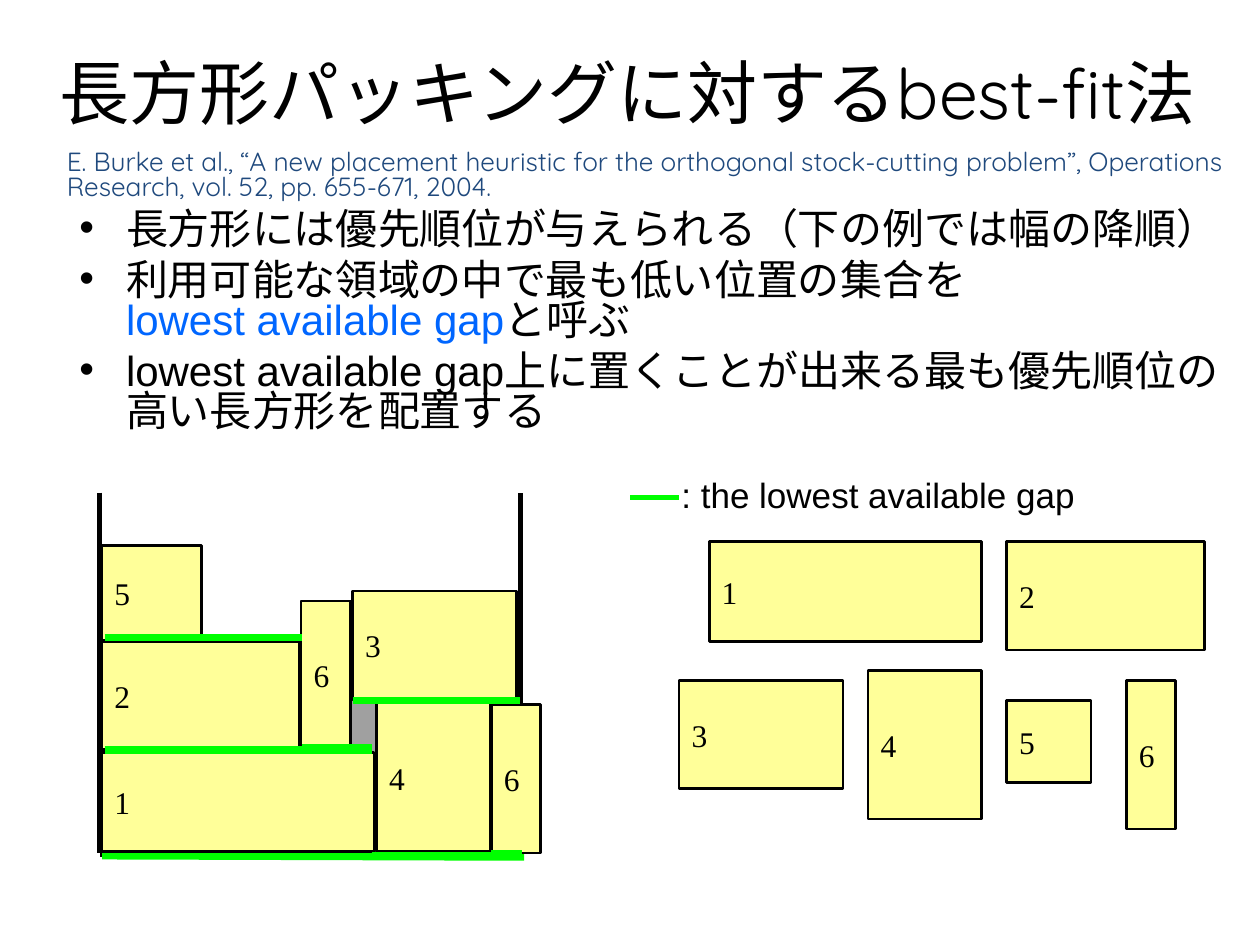
from dataclasses import dataclass
from typing import NamedTuple

from lxml.etree import SubElement
from pptx import Presentation
from pptx.dml.color import RGBColor
from pptx.enum.shapes import MSO_CONNECTOR as Connector, MSO_SHAPE as Preset
from pptx.enum.text import MSO_ANCHOR as Anchor, MSO_AUTO_SIZE as AutoSize, PP_ALIGN as Align
from pptx.oxml.ns import qn
from pptx.util import Emu, Pt

PX_PER_INCH = 100
EMU_PER_PX = 914400 // PX_PER_INCH


@dataclass(frozen=True)
class Theme:
    ink: str = "000000"
    citation: str = "1F497D"
    term: str = "0066FF"
    piece: str = "FFFF99"
    waste: str = "969696"
    gap: str = "00FF00"
    display: str = "Quicksand"
    sans: str = "Arial"
    serif: str = "Times New Roman"
    title_size: int = 40
    citation_size: int = 15
    bullet_size: int = 24
    legend_size: int = 20
    label_size: int = 18
    wall_width: float = 3
    gap_width: float = 4.5
    piece_width: float = 1.5


class Box(NamedTuple):
    left: int
    top: int
    width: int
    height: int


class Piece(NamedTuple):
    label: str
    left: int
    top: int
    size: tuple[int, int] | None = None


class Segment(NamedTuple):
    x1: int
    y1: int
    x2: int
    y2: int


THEME = Theme()
PIECE_SIZES = {"1": (216, 79), "2": (157, 86), "3": (130, 86),
               "4": (90, 118), "5": (67, 65), "6": (39, 118)}
WASTE = [Box(272, 556, 55, 47), Box(390, 558, 24, 122)]
STRIP = [Segment(79, 391, 79, 677), Segment(79, 678, 413, 678), Segment(413, 677, 413, 391)]
WAITING = [Piece("1", 563, 430), Piece("4", 689, 532), Piece("2", 799, 430),
           Piece("3", 539, 540), Piece("5", 799, 556), Piece("6", 894, 540)]
BOTTOM_ROW = [Piece("6", 390, 559), Piece("4", 299, 558), Piece("1", 81, 597)]
UPPER_ROWS = [Piece("2", 81, 509), Piece("6", 239, 477), Piece("3", 280, 469),
              Piece("5", 81, 433, (79, 75))]
FLOOR_GAP = Segment(81, 679, 416, 680)
FLOOR_GAP_RESTS = [Segment(295, 679, 413, 679), Segment(390, 678, 414, 678)]
UPPER_GAPS = [Segment(83, 506, 240, 506), Segment(280, 556, 413, 556),
              Segment(83, 595, 295, 595), Segment(240, 594, 295, 594)]
LEGEND_GAP = Segment(500, 395, 539, 395)

CITATION = ("E. Burke et al., “A new placement heuristic for the orthogonal stock-cutting "
            "problem”, Operations Research, vol. 52, pp. 655-671, 2004.")
BULLETS = [
    "長方形には優先順位が与えられる（下の例では幅の降順）",
    "利用可能な領域の中で最も低い位置の集合を\v",
    "lowest available gap上に置くことが出来る最も優先順位の高い長方形を配置する",
]


def px(length: int) -> Emu:
    return Emu(length * EMU_PER_PX)


def color(value: str) -> RGBColor:
    return RGBColor.from_string(value)


def style_runs(paragraph, face: str, size: int, ink: str = THEME.ink) -> None:
    for run in paragraph.runs:
        run.font.name = face
        run.font.size = Pt(size)
        run.font.color.rgb = color(ink)


def place(shape, box: Box) -> None:
    shape.left, shape.top, shape.width, shape.height = map(px, box)


def set_bullet(paragraph, bullet: str | None, margin: int = 0, indent: int = 0) -> None:
    properties = paragraph._p.get_or_add_pPr()
    properties.set("marL", str(px(margin)))
    properties.set("indent", str(px(indent)))
    if bullet:
        SubElement(properties, qn("a:buChar")).set("char", bullet)
    else:
        SubElement(properties, qn("a:buNone"))
    paragraph.line_spacing = 0.8
    paragraph.space_before = Pt(6 if bullet else 0)


def draw_title(slide) -> None:
    title = slide.shapes.title
    place(title, Box(20, 30, 956, 85))
    frame = title.text_frame
    frame.text = "長方形パッキングに対するbest-fit法"
    frame.auto_size = AutoSize.NONE
    frame.vertical_anchor = Anchor.MIDDLE
    frame.margin_left = frame.margin_right = 0
    frame.paragraphs[0].alignment = Align.CENTER
    style_runs(frame.paragraphs[0], THEME.display, THEME.title_size)


def draw_body(slide) -> None:
    body = slide.placeholders[1]
    place(body, Box(43, 115, 957, 252))
    frame = body.text_frame
    frame.auto_size = AutoSize.NONE
    frame.text = "\n".join([CITATION, *BULLETS])
    citation, *bullets = frame.paragraphs
    set_bullet(citation, None)
    style_runs(citation, THEME.display, THEME.citation_size, THEME.citation)
    definition = bullets[1]
    for part in ("lowest available gap", "と呼ぶ"):
        definition.add_run().text = part
    for bullet in bullets:
        set_bullet(bullet, "•", 47, -37)
        style_runs(bullet, THEME.sans, THEME.bullet_size)
    definition.runs[1].font.color.rgb = color(THEME.term)


def draw_rectangle(slide, box: Box, fill: str):
    rectangle = slide.shapes.add_shape(Preset.RECTANGLE, *map(px, box))
    rectangle.shadow.inherit = False
    rectangle.fill.solid()
    rectangle.fill.fore_color.rgb = color(fill)
    return rectangle


def draw_waste(slide, box: Box) -> None:
    waste = draw_rectangle(slide, box, THEME.waste)
    waste.line.fill.background()
    tint = waste._element.spPr.find(qn("a:solidFill"))[0]
    SubElement(tint, qn("a:alpha")).set("val", "90000")


def draw_pieces(slide, pieces: list[Piece]) -> None:
    for piece in pieces:
        size = piece.size or PIECE_SIZES[piece.label]
        block = draw_rectangle(slide, Box(piece.left, piece.top, *size), THEME.piece)
        block.line.color.rgb = color(THEME.ink)
        block.line.width = Pt(THEME.piece_width)
        frame = block.text_frame
        frame.text = piece.label
        frame.word_wrap = False
        frame.vertical_anchor = Anchor.MIDDLE
        frame.paragraphs[0].alignment = Align.LEFT
        style_runs(frame.paragraphs[0], THEME.serif, THEME.label_size)


def draw_segments(slide, segments: list[Segment], ink: str, width: float) -> None:
    for segment in segments:
        line = slide.shapes.add_connector(Connector.STRAIGHT, *map(px, segment))
        line.line.color.rgb = color(ink)
        line.line.width = Pt(width)
        SubElement(line._element.spPr, qn("a:effectLst"))


def draw_legend(slide) -> None:
    draw_segments(slide, [LEGEND_GAP], THEME.gap, THEME.wall_width)
    legend = slide.shapes.add_textbox(*map(px, Box(531, 371, 370, 44)))
    legend.text_frame.word_wrap = True
    legend.text_frame.text = ": the lowest available gap"
    style_runs(legend.text_frame.paragraphs[0], THEME.sans, THEME.legend_size)


def main() -> None:
    deck = Presentation()
    deck.slide_width, deck.slide_height = px(1000), px(750)
    slide = deck.slides.add_slide(deck.slide_layouts[1])
    for waste in WASTE:
        draw_waste(slide, waste)
    draw_title(slide)
    draw_body(slide)
    draw_segments(slide, STRIP, THEME.ink, THEME.wall_width)
    draw_pieces(slide, WAITING)
    draw_segments(slide, [FLOOR_GAP], THEME.gap, THEME.gap_width)
    draw_pieces(slide, BOTTOM_ROW)
    draw_segments(slide, FLOOR_GAP_RESTS, THEME.gap, THEME.gap_width)
    draw_pieces(slide, UPPER_ROWS)
    draw_legend(slide)
    draw_segments(slide, UPPER_GAPS, THEME.gap, THEME.gap_width)
    deck.save("out.pptx")


if __name__ == "__main__":
    main()
